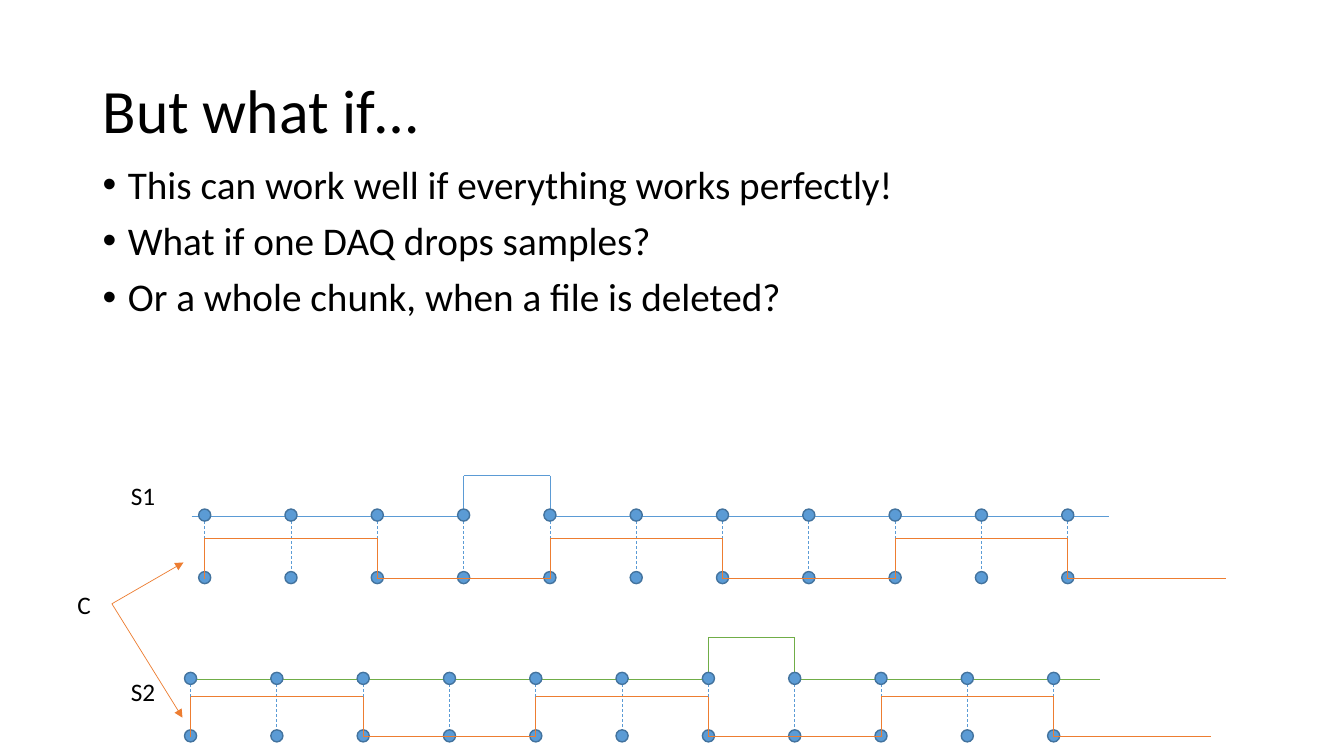
from dataclasses import dataclass
from itertools import pairwise

from lxml.etree import SubElement
from pptx import Presentation
from pptx.dml.color import RGBColor
from pptx.enum.dml import MSO_LINE
from pptx.enum.shapes import MSO_CONNECTOR, MSO_SHAPE
from pptx.enum.text import MSO_ANCHOR
from pptx.oxml.ns import qn
from pptx.slide import Slide
from pptx.util import Inches, Pt

BLACK = RGBColor(0x00, 0x00, 0x00)
BLUE = RGBColor(0x5B, 0x9B, 0xD5)
DARK_BLUE = RGBColor(0x43, 0x73, 0x9E)
ORANGE = RGBColor(0xED, 0x7D, 0x31)
GREEN = RGBColor(0x70, 0xAD, 0x47)

FONT = "Calibri"
SAMPLE_COUNT = 11
SAMPLE_STEP = 0.856
CLOCK_HALF_PERIOD = 2  # in samples
DOT_SIZE = 0.12

Point = tuple[float, float]


@dataclass(frozen=True)
class Stream:
    """A sampled signal above the clock C recorded with it; lengths in inches."""
    label: str
    label_top: float
    color: RGBColor
    first_sample: float
    signal_start: float
    signal_end: float
    signal_low: float
    signal_high: float
    pulse_sample: int
    clock_low: float
    clock_high: float
    clock_end: float

    def sample_x(self, index: int) -> float:
        return self.first_sample + index * SAMPLE_STEP

    def signal_points(self) -> list[Point]:
        rise, fall = (self.sample_x(self.pulse_sample + i) for i in (0, 1))
        low, high = self.signal_low, self.signal_high
        return [(self.signal_start, low), (rise, low), (rise, high),
                (fall, high), (fall, low), (self.signal_end, low)]

    def clock_points(self) -> list[Point]:
        levels = [self.clock_low, self.clock_high]
        points = []
        for index in range(0, SAMPLE_COUNT, CLOCK_HALF_PERIOD):
            x = self.sample_x(index)
            points += [(x, levels[0]), (x, levels[1])]
            levels.reverse()
        return points + [(self.clock_end, self.clock_low)]


STREAMS = [
    Stream("S1", 4.72, BLUE, 2.03, 1.9, 11.0, 5.12, 4.72, 3, 5.74, 5.34, 12.16),
    Stream("S2", 6.66, GREEN, 1.89, 1.83, 10.91, 6.74, 6.32, 6, 7.31, 6.91, 12.01),
]


def add_text(slide: Slide, text: str, *, left: float, top: float, width: float,
             height: float, size: float, anchor: MSO_ANCHOR = MSO_ANCHOR.TOP,
             line_spacing: float = 1.0, space_before: float = 0,
             bullet: bool = False) -> None:
    box = slide.shapes.add_textbox(*map(Inches, (left, top, width, height)))
    frame = box.text_frame
    frame.word_wrap = True
    frame.vertical_anchor = anchor
    frame.text = text
    for paragraph in frame.paragraphs:
        paragraph.line_spacing = line_spacing
        paragraph.space_before = Pt(space_before)
        paragraph.font.name = FONT
        paragraph.font.size = Pt(size)
        paragraph.font.color.rgb = BLACK
        if bullet:
            properties = paragraph._p.get_or_add_pPr()
            properties.set("marL", str(Inches(0.25)))
            properties.set("indent", str(Inches(-0.25)))
            bullet_font = SubElement(properties, qn("a:buFont"))
            bullet_font.set("typeface", "Arial")
            SubElement(properties, qn("a:buChar")).set("char", "•")
            # Default run properties come after the bullet in the schema
            properties.append(properties.find(qn("a:defRPr")))
        for run in paragraph.runs:
            run.font.name = FONT
            run.font.size = Pt(size)
            run.font.color.rgb = BLACK


def add_line(slide: Slide, start: Point, end: Point, color: RGBColor, *,
             dashed: bool = False, arrow: bool = False) -> None:
    connector = slide.shapes.add_connector(
        MSO_CONNECTOR.STRAIGHT, *map(Inches, (*start, *end)))
    connector.line.color.rgb = color
    connector.line.width = Pt(0.5)
    if dashed:
        connector.line.dash_style = MSO_LINE.DASH
    if arrow:
        line = connector.line._get_or_add_ln()
        SubElement(line, qn("a:tailEnd")).set("type", "triangle")
    SubElement(connector._element.spPr, qn("a:effectLst"))


def add_trace(slide: Slide, points: list[Point], color: RGBColor) -> None:
    for start, end in pairwise(points):
        add_line(slide, start, end, color)


def add_dot(slide: Slide, x: float, y: float) -> None:
    corner = (x - DOT_SIZE / 2, y - DOT_SIZE / 2)
    dot = slide.shapes.add_shape(
        MSO_SHAPE.OVAL, *map(Inches, (*corner, DOT_SIZE, DOT_SIZE)))
    dot.shadow.inherit = False
    dot.fill.solid()
    dot.fill.fore_color.rgb = BLUE
    dot.line.color.rgb = DARK_BLUE
    dot.line.width = Pt(1)


def add_label(slide: Slide, text: str, left: float, top: float) -> None:
    add_text(slide, text, left=left, top=top, width=0.62, height=0.4, size=18)


def add_stream(slide: Slide, stream: Stream) -> None:
    add_label(slide, stream.label, 1.2, stream.label_top)
    add_trace(slide, stream.signal_points(), stream.color)
    for index in range(SAMPLE_COUNT):
        x = stream.sample_x(index)
        add_line(slide, (x, stream.signal_low), (x, stream.clock_low), BLUE, dashed=True)
        add_dot(slide, x, stream.signal_low - 0.01)
        add_dot(slide, x, stream.clock_low - 0.01)
    add_trace(slide, stream.clock_points(), ORANGE)


def main() -> None:
    presentation = Presentation()
    presentation.slide_width = Inches(13.33)
    presentation.slide_height = Inches(7.5)
    slide = presentation.slides.add_slide(presentation.slide_layouts[6])

    # Title and bullets
    add_text(slide, "But what if…", left=0.92, top=0.4, width=11.5, height=1.45,
             size=44, anchor=MSO_ANCHOR.MIDDLE, line_spacing=0.9)
    bullets = [
        "This can work well if everything works perfectly!",
        "What if one DAQ drops samples?",
        "Or a whole chunk, when a file is deleted?",
    ]
    add_text(slide, "\n".join(bullets), left=0.92, top=1.59, width=11.5, height=4.76,
             size=28, line_spacing=0.9, space_before=10, bullet=True)

    # Sampled signals with their clocks
    for stream in STREAMS:
        add_stream(slide, stream)

    # Common clock label pointing at both clock traces
    add_label(slide, "C", 0.67, 5.8)
    for target in [(1.82, 5.58), (1.81, 7.12)]:
        add_line(slide, (1.11, 5.99), target, ORANGE, arrow=True)

    presentation.save("out.pptx")


if __name__ == "__main__":
    main()
